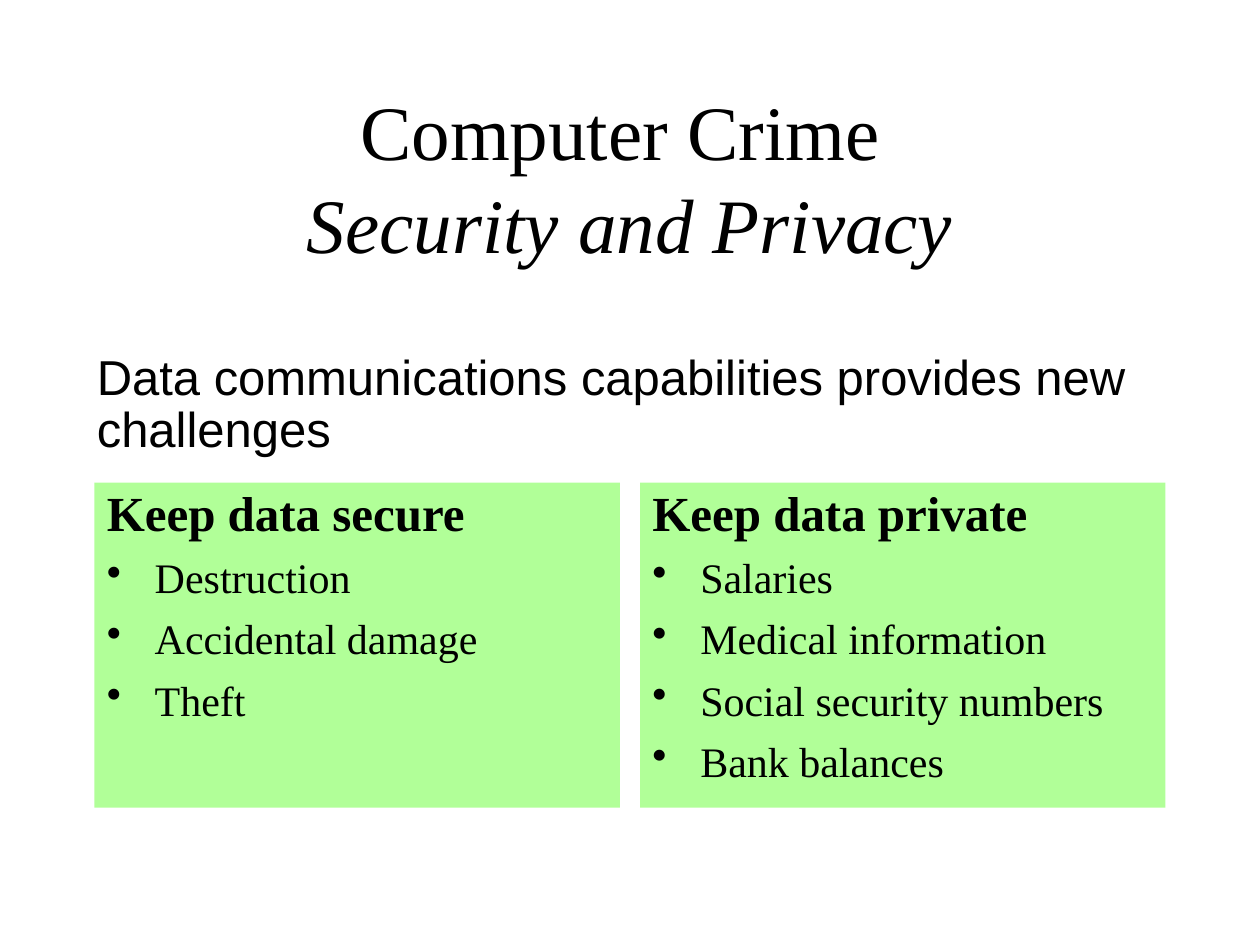
"""Build the Computer Crime slide on data security and privacy."""
from lxml import etree
from pptx import Presentation
from pptx import util as u
from pptx.dml import color
from pptx.enum import shapes, text
from pptx.oxml import ns

THEME = {
    "ink": color.RGBColor.from_string("000000"),
    "panel": color.RGBColor.from_string("64FF33"),
    "panel_alpha": "50000",
    "serif": "Times New Roman",
    "sans": "Arial",
    "title": u.Pt(44),
    "heading": u.Pt(28),
    "item": u.Pt(24),
}
COLUMNS = {
    "Keep data secure": ["Destruction", "Accidental damage", "Theft"],
    "Keep data private": ["Salaries", "Medical information",
                          "Social security numbers", "Bank balances"],
}


def add_run(paragraph, words, **formats):
    run = paragraph.add_run()
    run.text = words
    run.font.color.rgb = THEME["ink"]
    for attribute, value in formats.items():
        setattr(run.font, attribute, value)


def set_frame(shape, anchor):
    frame = shape.text_frame
    formats = {"word_wrap": True, "vertical_anchor": anchor,
               "auto_size": text.MSO_AUTO_SIZE.NONE}
    for attribute, value in formats.items():
        setattr(frame, attribute, value)
    return frame


deck = Presentation()
deck.slide_width, deck.slide_height = u.Inches(10), u.Inches(7.5)
slide = deck.slides.add_slide(deck.slide_layouts[6])

title = slide.shapes.add_textbox(u.Inches(0.75), u.Inches(0.5), u.Inches(8.5), u.Inches(1.8))
title_line = set_frame(title, text.MSO_ANCHOR.MIDDLE).paragraphs[0]
title_line.alignment = text.PP_ALIGN.CENTER
add_run(title_line, "Computer Crime ", name=THEME["serif"], size=THEME["title"])
title_line.add_line_break()
add_run(title_line, "Security and Privacy", name=THEME["serif"], size=THEME["title"], italic=True)

panel_width, panel_gap = 4.17, 0.16
for column, (heading, items) in enumerate(COLUMNS.items()):
    left = 0.75 + column * (panel_width + panel_gap)
    panel = slide.shapes.add_shape(
        shapes.MSO_SHAPE.RECTANGLE, u.Inches(left), u.Inches(3.83),
        u.Inches(panel_width), u.Inches(2.58))
    panel.shadow.inherit = False
    panel.line.fill.background()
    panel.fill.solid()
    panel.fill.fore_color.rgb = THEME["panel"]
    swatch = panel.fill._xPr.find(".//" + ns.qn("a:srgbClr"))
    etree.SubElement(swatch, ns.qn("a:alpha"), val=THEME["panel_alpha"])

    frame = set_frame(panel, text.MSO_ANCHOR.TOP)
    for row, words in enumerate([heading, *items]):
        line = frame.add_paragraph() if row else frame.paragraphs[0]
        properties = line._p.get_or_add_pPr()
        properties.set("marL", str(u.Inches(0.38)))
        properties.set("indent", str(u.Inches(-0.38)))
        if row:
            etree.SubElement(properties, ns.qn("a:buChar"), char="•")
        line_formats = {"alignment": text.PP_ALIGN.LEFT, "line_spacing": 0.9,
                        "space_before": u.Pt(9 if row else 0)}
        for attribute, value in line_formats.items():
            setattr(line, attribute, value)
        add_run(line, words, name=THEME["serif"], bold=row == 0,
                size=THEME["item" if row else "heading"])

challenge = slide.shapes.add_textbox(u.Inches(0.67), u.Inches(2.75), u.Inches(8.58), u.Inches(0.94))
challenge_line = set_frame(challenge, text.MSO_ANCHOR.TOP).paragraphs[0]
challenge_line.line_spacing = 0.9
add_run(challenge_line, "Data communications capabilities provides new challenges",
        name=THEME["sans"], size=THEME["heading"])

deck.save("out.pptx")
